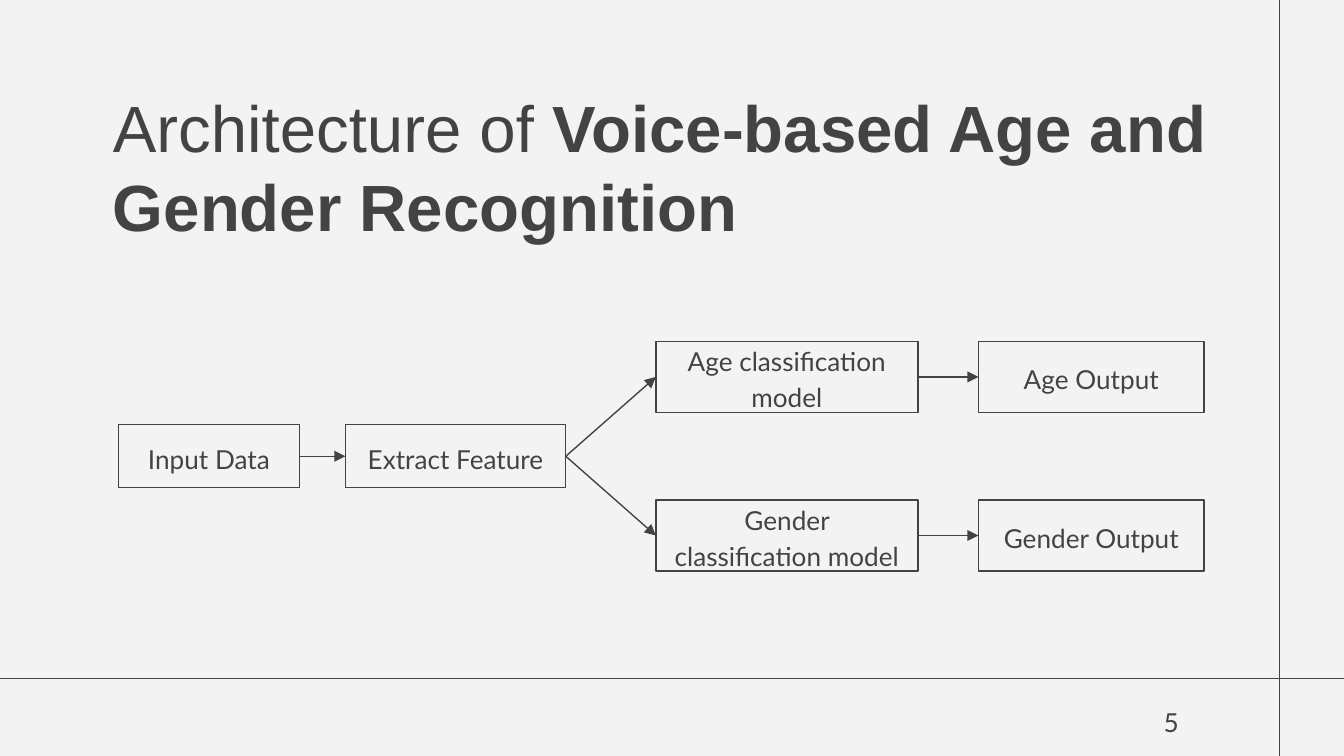
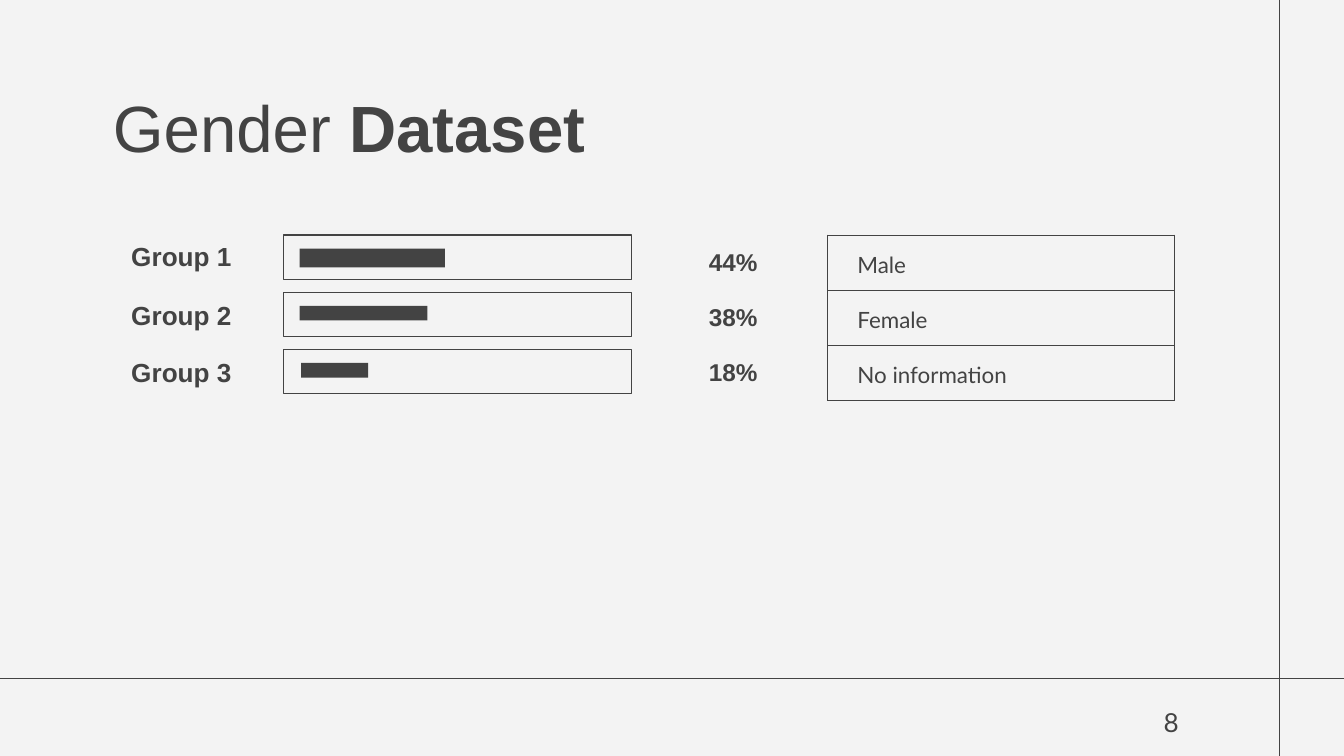
from lxml import etree
from pptx import Presentation
from pptx.dml.color import RGBColor
from pptx.enum.shapes import MSO_CONNECTOR, MSO_SHAPE
from pptx.enum.text import MSO_ANCHOR, MSO_AUTO_SIZE, PP_ALIGN
from pptx.oxml.ns import qn
from pptx.util import Inches, Pt

STRAIGHT = MSO_CONNECTOR.STRAIGHT
RECTANGLE = MSO_SHAPE.RECTANGLE
TOP, MIDDLE, BOTTOM = MSO_ANCHOR.TOP, MSO_ANCHOR.MIDDLE, MSO_ANCHOR.BOTTOM
LEFT, CENTER, RIGHT = PP_ALIGN.LEFT, PP_ALIGN.CENTER, PP_ALIGN.RIGHT
LEFT_SITE, RIGHT_SITE = 1, 3

INK = "434343"
PAPER = "F3F3F3"
HEADING_FONT, BODY_FONT = "Arial", "Lato"
LINE_WIDTH = Pt(0.75)


def color(hex_string):
    return RGBColor.from_string(hex_string)


def write(frame, text, size, font, align=LEFT, anchor=TOP, bold=False, spacing=1.0):
    """Fill a text frame with one uniformly formatted paragraph."""
    frame.word_wrap = True
    frame.vertical_anchor = anchor
    frame.margin_left = frame.margin_right = Inches(0.1)
    frame.margin_top = frame.margin_bottom = Inches(0.1)
    paragraph = frame.paragraphs[0]
    paragraph.text = text
    paragraph.alignment = align
    paragraph.line_spacing = spacing
    paragraph.font.size = Pt(size)
    paragraph.font.name = font
    paragraph.font.bold = bold
    paragraph.font.color.rgb = color(INK)


presentation = Presentation()
presentation.slide_width = Inches(10)
presentation.slide_height = presentation.slide_width * 9 // 16
background = presentation.slide_master.background.fill
background.solid()
background.fore_color.rgb = color(PAPER)

# Frame lines, title and page number of every slide
pages = [
    ("Architecture of", " Voice-based Age and Gender Recognition", "5"),
    ("Gender ", "Dataset", "8"),
]
frame_lines = [(-0.03, 5.05, 10.03, 5.05), (9.52, 5.64, 9.52, -0.02)]
slides = []
connectors = []
for light_title, bold_title, number in pages:
    slide = presentation.slides.add_slide(presentation.slide_layouts[5])
    slides.append(slide)
    for ends in frame_lines:
        connectors.append(slide.shapes.add_connector(STRAIGHT, *map(Inches, ends)))

    title = slide.shapes.title
    title.left, title.top = Inches(0.74), Inches(0.55)
    title.width, title.height = Inches(8.67), Inches(0.53)
    write(title.text_frame, light_title, 35, HEADING_FONT)
    title.text_frame.auto_size = MSO_AUTO_SIZE.NONE
    bold_run = title.text_frame.paragraphs[0].add_run()
    bold_run.text = bold_title
    bold_run.font.bold = True

    page_number = slide.shapes.add_textbox(
        Inches(8.27), Inches(5.16), Inches(0.6), Inches(0.43))
    write(page_number.text_frame, number, 14, BODY_FONT, RIGHT)

architecture, dataset = slides

# Architecture: boxes of the flow and the arrows between them
steps = {
    "Input Data": (0.88, 3.16, 1.35, 0.47),
    "Extract Feature": (2.57, 3.16, 1.64, 0.47),
    "Age classification model": (4.88, 2.54, 1.95, 0.53),
    "Gender classification model": (4.88, 3.72, 1.95, 0.53),
    "Age Output": (7.28, 2.54, 1.68, 0.53),
    "Gender Output": (7.28, 3.72, 1.68, 0.53),
}
flow = [
    ("Input Data", "Extract Feature"),
    ("Extract Feature", "Age classification model"),
    ("Extract Feature", "Gender classification model"),
    ("Age classification model", "Age Output"),
    ("Gender classification model", "Gender Output"),
]
boxes = {}
for label, bounds in steps.items():
    box = architecture.shapes.add_shape(RECTANGLE, *map(Inches, bounds))
    box.shadow.inherit = False
    box.fill.background()
    box.line.color.rgb = color(INK)
    box.line.width = LINE_WIDTH
    write(box.text_frame, label, 14, BODY_FONT, CENTER, MIDDLE, spacing=1.15)
    boxes[label] = box

for source, target in flow:
    arrow = architecture.shapes.add_connector(STRAIGHT, 0, 0, 0, 0)
    arrow.begin_connect(boxes[source], RIGHT_SITE)
    arrow.end_connect(boxes[target], LEFT_SITE)
    etree.SubElement(arrow.line._get_or_add_ln(), qn("a:tailEnd"), type="triangle")
    connectors.append(arrow)

for connector in connectors:
    connector.line.color.rgb = color(INK)
    connector.line.width = LINE_WIDTH
    etree.SubElement(connector._element.spPr, qn("a:effectLst"))

# Dataset: one labelled bar per group
bars = [
    ("Group 1", 1.63, 2.23, 1.08, 0.14),
    ("Group 2", 2.07, 2.23, 0.95, 0.11),
    ("Group 3", 2.49, 2.24, 0.5, 0.11),
]
for index, (group, label_top, bar_left, bar_width, bar_height) in enumerate(bars):
    track_top = 1.75 + 0.425 * index
    track = dataset.shapes.add_shape(
        RECTANGLE, Inches(2.11), Inches(track_top), Inches(2.59), Inches(0.33))
    track.fill.background()
    track.line.color.rgb = color(INK)
    track.line.width = LINE_WIDTH
    bar = dataset.shapes.add_shape(
        RECTANGLE, Inches(bar_left), Inches(track_top + 0.1),
        Inches(bar_width), Inches(bar_height))
    bar.fill.solid()
    bar.fill.fore_color.rgb = color(INK)
    bar.line.fill.background()
    track.shadow.inherit = bar.shadow.inherit = False

    group_label = dataset.shapes.add_textbox(
        Inches(0.59), Inches(label_top), Inches(1.52), Inches(0.58))
    write(group_label.text_frame, group, 14, HEADING_FONT, CENTER, BOTTOM, bold=True)
    group_label.text_frame.margin_bottom = Inches(0.24)

# Dataset: shares, with borders around the names only
shares = [("44%", "Male"), ("38%", "Female"), ("18%", "No information")]
table = dataset.shapes.add_table(
    len(shares), 2, Inches(4.75), Inches(1.75), Inches(3.99), Inches(1.23)).table
table.first_row = table.horz_banding = False
table.columns[0].width, table.columns[1].width = Inches(1.41), Inches(2.58)
for row, (share, name) in enumerate(shares):
    share_cell, name_cell = table.cell(row, 0), table.cell(row, 1)
    write(share_cell.text_frame, share, 13, HEADING_FONT, CENTER, bold=True)
    write(name_cell.text_frame, name, 12, BODY_FONT, spacing=1.15)
    for cell, left_margin, bordered in ((share_cell, 0.1, ["lnR"]),
                                        (name_cell, 0.22, ["lnL", "lnR", "lnT", "lnB"])):
        cell.vertical_anchor = MIDDLE
        cell.margin_left, cell.margin_right = Inches(left_margin), Inches(0.1)
        cell.margin_top = cell.margin_bottom = Inches(0.07)
        properties = cell._tc.get_or_add_tcPr()
        for side in ("lnL", "lnR", "lnT", "lnB"):
            border = etree.SubElement(properties, qn("a:" + side), w=str(LINE_WIDTH))
            if side in bordered:
                fill = etree.SubElement(border, qn("a:solidFill"))
                etree.SubElement(fill, qn("a:srgbClr"), val=INK)
            else:
                etree.SubElement(border, qn("a:noFill"))
        cell.fill.background()

presentation.save("out.pptx")
